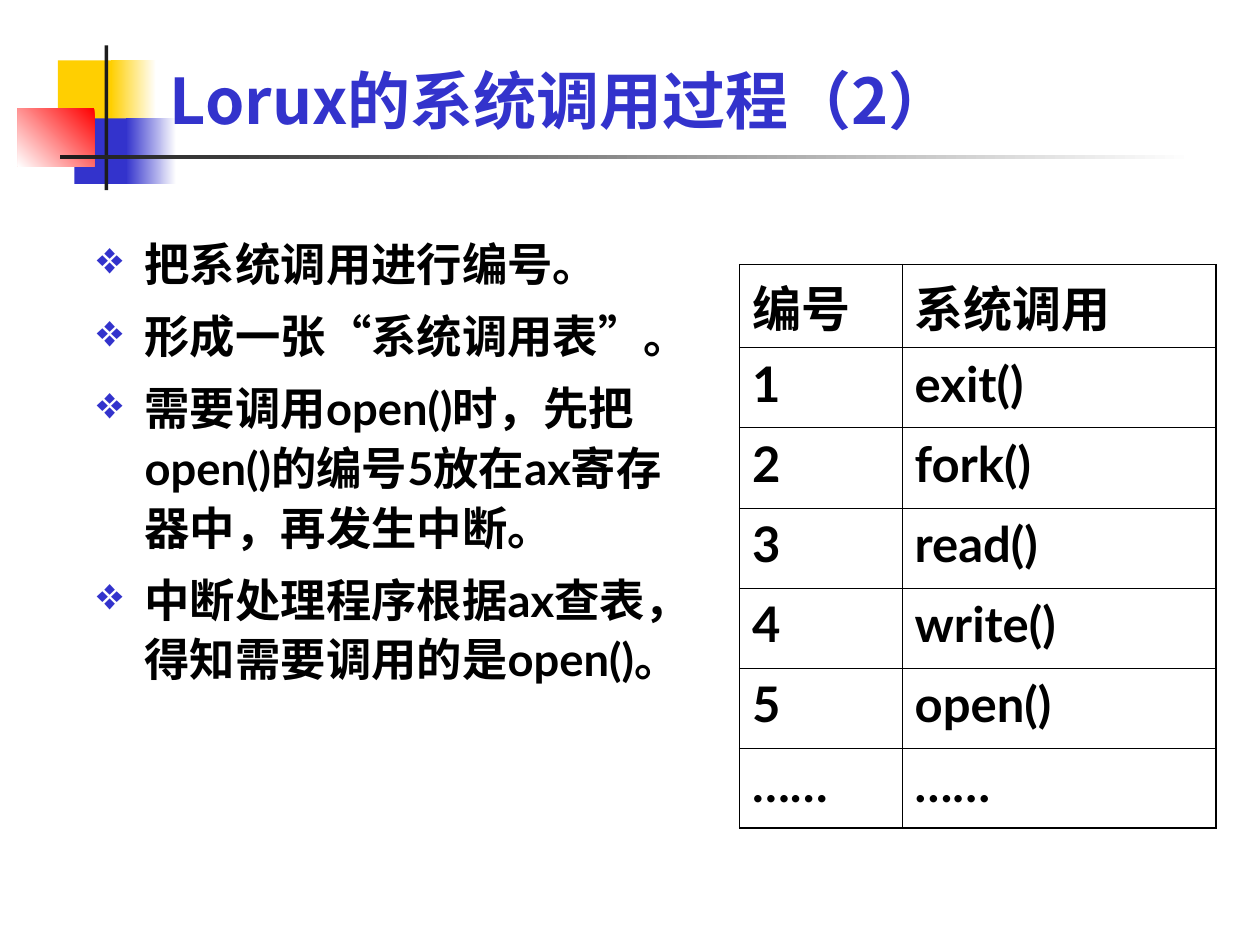
from lxml import etree
from pptx import Presentation
from pptx import util as u
from pptx.dml.color import RGBColor
from pptx.enum import shapes, text
from pptx.oxml import ns

COLORS = {
    "yellow": "FFCF01",
    "blue": "3333CC",
    "red": "FF0000",
    "ink": "1C1C1C",
    "black": "000000",
    "white": "FFFFFF",
}
CJK_FONT = "Noto Sans CJK SC"


def rgb(name):
    return RGBColor.from_string(COLORS[name])


def add_text(paragraph, words, size, font, color):
    """Add one bold run, with the CJK font for its Chinese characters."""
    run = paragraph.add_run()
    run.text = words
    for name, value in {"size": u.Pt(size), "name": font, "bold": True}.items():
        setattr(run.font, name, value)
    run.font.color.rgb = rgb(color)
    etree.SubElement(run._r.rPr, ns.qn("a:ea"), typeface=CJK_FONT)


prs = Presentation()
prs.slide_width, prs.slide_height = u.Inches(10), u.Inches(7.5)
slide = prs.slides.add_slide(prs.slide_layouts[6])

# Corner ornament and title rule: box, colours from start to end, clockwise angle
ornament = [
    ((0.46, 0.48, 0.48, 0.52), ["yellow"], 0),
    ((0.88, 0.48, 0.36, 0.52), ["white", "yellow"], 180),
    ((0.59, 0.94, 0.46, 0.52), ["blue"], 0),
    ((1, 0.94, 0.4, 0.52), ["white", "blue"], 180),
    ((0.14, 0.86, 0.61, 0.46), ["red", "white"], 135),
    ((0.83, 0.36, 0.03, 1.15), ["ink"], 0),
    ((0.48, 1.23, 9, 0.03), ["white", "ink"], 180),
]
for box, tints, angle in ornament:
    block = slide.shapes.add_shape(shapes.MSO_SHAPE.RECTANGLE, *map(u.Inches, box))
    block.shadow.inherit = False
    block.line.fill.background()
    if len(tints) == 1:
        block.fill.solid()
        block.fill.fore_color.rgb = rgb(tints[0])
    else:
        block.fill.gradient()
        block.fill.gradient_angle = 360 - angle
        for stop, tint in zip(block.fill.gradient_stops, tints):
            stop.color.rgb = rgb(tint)

# Title
title = slide.shapes.add_textbox(*map(u.Inches, (1.25, 0.21, 8.52, 0.93))).text_frame
title.word_wrap = True
title.vertical_anchor = text.MSO_ANCHOR.BOTTOM
add_text(title.paragraphs[0], "Lorux的系统调用过程（2）", 36, CJK_FONT, "blue")

# Steps
steps = [
    "把系统调用进行编号。",
    "形成一张“系统调用表”。",
    "需要调用open()时，先把open()的编号5放在ax寄存器中，再发生中断。",
    "中断处理程序根据ax查表，得知需要调用的是open()。",
]
indent = u.Inches(0.38)
bullet_layout = {"marL": str(indent), "indent": str(-indent), "hangingPunct": "0"}
body = slide.shapes.add_textbox(*map(u.Inches, (0.67, 1.78, 4.96, 4.88))).text_frame
body.word_wrap = True
for i, step in enumerate(steps):
    paragraph = body.add_paragraph() if i else body.paragraphs[0]
    for name, value in {"line_spacing": 1.1, "space_before": u.Pt(7)}.items():
        setattr(paragraph, name, value)
    add_text(paragraph, step, 25.9, "Lato", "black")
    props = paragraph._p.get_or_add_pPr()
    for name, value in bullet_layout.items():
        props.set(name, value)
    bullet_color = etree.SubElement(props, ns.qn("a:buClr"))
    etree.SubElement(bullet_color, ns.qn("a:srgbClr"), val=COLORS["blue"])
    etree.SubElement(props, ns.qn("a:buFont"), typeface="OpenSymbol")
    etree.SubElement(props, ns.qn("a:buChar"), char="❖")

# System call table
calls = [
    ("编号", "系统调用"),
    ("1", "exit()"),
    ("2", "fork()"),
    ("3", "read()"),
    ("4", "write()"),
    ("5", "open()"),
    ("……", "……"),
]
last_row, last_col = len(calls) - 1, len(calls[0]) - 1
table = slide.shapes.add_table(
    len(calls), len(calls[0]), *map(u.Inches, (5.87, 2.1, 3.78, 4.45))
).table
table.first_row = table.horz_banding = False
table.rows[0].height = u.Inches(0.66)
for column, width in zip(table.columns, (1.29, 2.49)):
    column.width = u.Inches(width)

for r, call in enumerate(calls):
    for c, words in enumerate(call):
        cell = table.cell(r, c)
        paragraph = cell.text_frame.paragraphs[0]
        paragraph.space_before = u.Pt(7)
        add_text(paragraph, words, 28, "Lato", "black")
        outer_edges = {
            "lnL": c == 0,
            "lnR": c == last_col,
            "lnT": r == 0,
            "lnB": r == last_row,
        }
        props = cell._tc.get_or_add_tcPr()
        for edge, outer in outer_edges.items():
            weight = u.Pt(1.08 if outer else 0.45)
            border = etree.SubElement(props, ns.qn(f"a:{edge}"), w=str(weight))
            paint = etree.SubElement(border, ns.qn("a:solidFill"))
            etree.SubElement(paint, ns.qn("a:srgbClr"), val=COLORS["black"])
        cell.fill.background()

prs.save("out.pptx")
